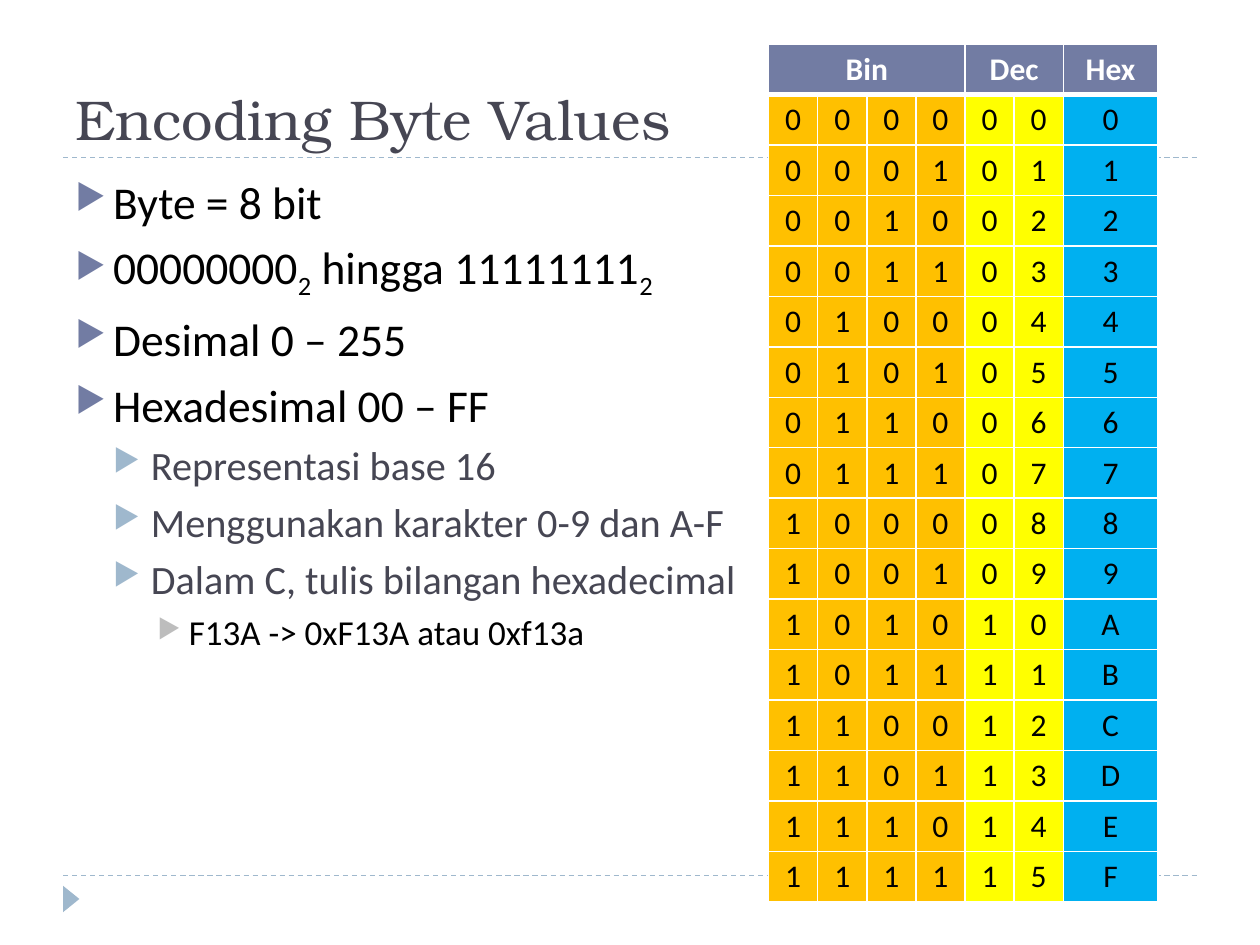
from lxml.etree import SubElement
from pptx import Presentation
from pptx.dml.color import RGBColor
from pptx.enum.dml import MSO_LINE
from pptx.enum.shapes import MSO_CONNECTOR, MSO_SHAPE
from pptx.enum.text import MSO_ANCHOR, PP_ALIGN
from pptx.oxml.ns import qn
from pptx.util import Inches, Pt

WHITE = RGBColor(0xFF, 0xFF, 0xFF)
BLACK = RGBColor(0x00, 0x00, 0x00)
SLATE = RGBColor(0x46, 0x46, 0x53)
INDIGO = RGBColor(0x72, 0x7C, 0xA3)
PALE_BLUE = RGBColor(0x9F, 0xB8, 0xCD)
GREY = RGBColor(0xBD, 0xBD, 0xBD)
ORANGE = RGBColor(0xFF, 0xC0, 0x00)
YELLOW = RGBColor(0xFF, 0xFF, 0x00)
CYAN = RGBColor(0x00, 0xB0, 0xF0)

BODY_FONT = "Calibri"
TITLE_FONT = "TeX Gyre Bonum"
MARGIN = 0.5
CONTENT_WIDTH = 9

# Per level: text size, text colour, bullet colour, space before, left indent, hanging
LEVELS = [
    (26, BLACK, INDIGO, 6, 0.3, 0.3),
    (23, SLATE, PALE_BLUE, 5, 0.6, 0.3),
    (20, BLACK, GREY, 5, 0.9, 0.25),
]
# Each bullet is a level and its spans; every second span is a subscript
BULLETS = [
    (0, ["Byte = 8 bit"]),
    (0, ["00000000", "2", " hingga 11111111", "2"]),
    (0, ["Desimal 0 – 255"]),
    (0, ["Hexadesimal 00 – FF"]),
    (1, ["Representasi base 16"]),
    (1, ["Menggunakan karakter 0-9 dan A-F"]),
    (1, ["Dalam C, tulis bilangan hexadecimal"]),
    (2, ["F13A -> 0xF13A atau 0xf13a"]),
]
COLUMN_FILLS = [ORANGE] * 4 + [YELLOW] * 2 + [CYAN]
COLUMN_WIDTHS = [0.39] * 6 + [0.75]
ROW_HEIGHT = 0.4
HEADINGS = [("Bin", 0, 3), ("Dec", 4, 5), ("Hex", 6, 6)]


def add_span(para, text, size=18, color=BLACK, font=BODY_FONT, bold=False, subscript=False):
    span = para.add_run()
    span.text = text
    span.font.size = Pt(size)
    span.font.name = font
    span.font.bold = bold
    span.font.color.rgb = color
    if subscript:
        span.font._element.set("baseline", "-25000")


def add_box(page, top, height, anchor=MSO_ANCHOR.TOP):
    box = page.shapes.add_textbox(
        Inches(MARGIN), Inches(top), Inches(CONTENT_WIDTH), Inches(height))
    box.text_frame.word_wrap = True
    box.text_frame.vertical_anchor = anchor
    return box.text_frame


def add_rule(page, top):
    rule = page.shapes.add_connector(
        MSO_CONNECTOR.STRAIGHT, Inches(MARGIN), Inches(top),
        Inches(MARGIN + CONTENT_WIDTH), Inches(top))
    rule.line.color.rgb = PALE_BLUE
    rule.line.width = Pt(0.75)
    rule.line.dash_style = MSO_LINE.DASH
    SubElement(rule._element.spPr, qn("a:effectLst"))


def add_marker(page):
    marker = page.shapes.add_shape(
        MSO_SHAPE.ISOSCELES_TRIANGLE, Inches(0.46), Inches(7.07), Inches(0.21), Inches(0.13))
    marker.rotation = 90
    marker.shadow.inherit = False
    marker.fill.solid()
    marker.fill.fore_color.rgb = PALE_BLUE
    marker.line.fill.background()


def set_bullet(para, color, indent, hanging):
    properties = para._p.get_or_add_pPr()
    properties.set("marL", str(Inches(indent)))
    properties.set("indent", str(-Inches(hanging)))
    bullet_color = SubElement(properties, qn("a:buClr"))
    SubElement(bullet_color, qn("a:srgbClr"), val=str(color))
    SubElement(properties, qn("a:buSzPct"), val="76000")
    SubElement(properties, qn("a:buChar"), char="▶")


def add_bullets(page):
    frame = add_box(page, 1.33, 5.4)
    for number, (level, spans) in enumerate(BULLETS):
        para = frame.add_paragraph() if number else frame.paragraphs[0]
        size, color, bullet_color, space, indent, hanging = LEVELS[level]
        para.level = level
        para.space_before = Pt(space)
        set_bullet(para, bullet_color, indent, hanging)
        for position, text in enumerate(spans):
            add_span(para, text, size=size, color=color, subscript=position % 2 == 1)


def style_cell(cell, fill, bottom_width=1):
    """Give the cell white borders and a plain fill."""
    properties = cell._tc.get_or_add_tcPr()
    for side, width in (("L", 1), ("R", 1), ("T", 1), ("B", bottom_width)):
        border = SubElement(properties, qn(f"a:ln{side}"), w=str(Pt(width)))
        border_fill = SubElement(border, qn("a:solidFill"))
        SubElement(border_fill, qn("a:srgbClr"), val=str(WHITE))
    cell.fill.solid()
    cell.fill.fore_color.rgb = fill


def write_cell(cell, text, **text_format):
    para = cell.text_frame.paragraphs[0]
    para.alignment = PP_ALIGN.CENTER
    add_span(para, text, **text_format)


def add_number_table(page):
    row_count = 17
    table = page.shapes.add_table(
        row_count, len(COLUMN_WIDTHS), Inches(6.1), Inches(0.35),
        Inches(sum(COLUMN_WIDTHS)), Inches(row_count * ROW_HEIGHT)).table
    for column, width in zip(table.columns, COLUMN_WIDTHS):
        column.width = Inches(width)

    for cell in table.rows[0].cells:
        style_cell(cell, INDIGO, bottom_width=3)
    for heading, first, last in HEADINGS:
        if last > first:
            table.cell(0, first).merge(table.cell(0, last))
        write_cell(table.cell(0, first), heading, color=WHITE, bold=True)

    for value in range(row_count - 1):
        digits = f"{value:04b}{value:02d}{value:X}"
        for column, (digit, fill) in enumerate(zip(digits, COLUMN_FILLS)):
            cell = table.cell(value + 1, column)
            style_cell(cell, fill)
            write_cell(cell, digit)


def main():
    deck = Presentation()
    deck.slide_width, deck.slide_height = Inches(10), Inches(7.5)
    page = deck.slides.add_slide(deck.slide_layouts[6])
    for top in (6.95, 1.25):
        add_rule(page, top)
    add_marker(page)
    title = add_box(page, 0.17, 1.08, anchor=MSO_ANCHOR.BOTTOM)
    add_span(title.paragraphs[0], "Encoding Byte Values", size=32, color=SLATE, font=TITLE_FONT)
    add_bullets(page)
    add_number_table(page)
    deck.save("out.pptx")


if __name__ == "__main__":
    main()
